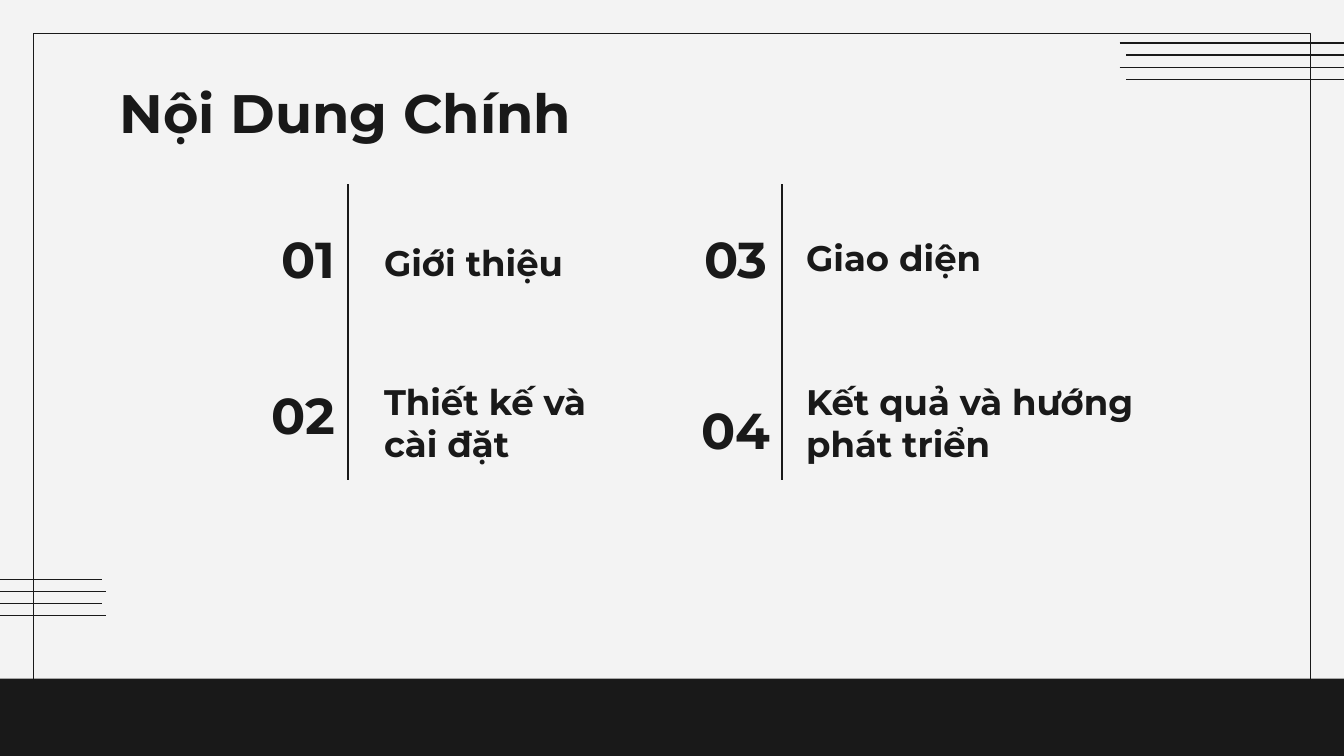
from lxml import etree
from pptx import Presentation
from pptx.dml.color import RGBColor
from pptx.enum import shapes, text
from pptx.oxml import ns
from pptx.util import Inches, Pt

COLORS = {"paper": "F3F3F3", "ink": "191919"}
FONT = "Montserrat"
ALIGN, ANCHOR = text.PP_ALIGN, text.MSO_ANCHOR


def color(name):
    return RGBColor.from_string(COLORS[name])


def add_rule(slide, x1, y1, x2, y2):
    rule = slide.shapes.add_connector(
        shapes.MSO_CONNECTOR.STRAIGHT, *map(Inches, (x1, y1, x2, y2)))
    rule.line.color.rgb = color("ink")
    rule.line.width = Pt(0.75)
    etree.SubElement(rule.element.spPr, ns.qn("a:effectLst"))


def add_block(slide, box, fill):
    block = slide.shapes.add_shape(
        shapes.MSO_SHAPE.RECTANGLE, *map(Inches, box))
    block.shadow.inherit = False
    block.fill.solid()
    block.fill.fore_color.rgb = color(fill)
    block.line.fill.background()
    return block


def add_stripes(slide, left, top, width, shift):
    """Four rules, every second one shifted to the right."""
    for i in range(4):
        x, y = left + shift * (i % 2), top + 0.09 * i
        add_rule(slide, x, y, x + width, y)


def add_decor(slide):
    frame = add_block(slide, (0.25, 0.25, 9.5, 5.13), "paper")
    frame.line.color.rgb = color("ink")
    frame.line.width = Pt(0.75)
    add_stripes(slide, 8.33, 0.32, 1.71, 0.05)
    add_stripes(slide, -0.12, 4.31, 0.88, 0.03)
    add_block(slide, (0, 5.05, 10, 0.58), "ink")


def set_text(shape, words, size, anchor, align=ALIGN.LEFT):
    frame = shape.text_frame
    frame.word_wrap = True
    frame.auto_size = text.MSO_AUTO_SIZE.NONE
    frame.vertical_anchor = anchor
    frame.margin_left = frame.margin_right = Inches(0.1)
    frame.margin_top = frame.margin_bottom = Inches(0.1)
    para = frame.paragraphs[0]
    para.alignment = align
    run = para.add_run()
    run.text = words
    run.font.name = FONT
    run.font.size = Pt(size)
    run.font.bold = True
    run.font.color.rgb = color("ink")


def add_title(slide, box, words):
    title = slide.shapes.title
    title.left, title.top, title.width, title.height = map(Inches, box)
    set_text(title, words, 29, ANCHOR.TOP)
    # Bring the title in front of the filled frame
    title.element.getparent().append(title.element)


def add_column(slide, x, y, items):
    """A vertical rule at x, with numbers on its left and topics on its right.

    Each item gives number, its offset, topic and its box, relative to x, y.
    """
    for number, (dx, dy), topic, (left, top, width, height) in items:
        body = slide.shapes.add_textbox(
            *map(Inches, (x + left, y + top, width, height)))
        set_text(body, topic, 19, ANCHOR.BOTTOM)
        label = slide.shapes.add_textbox(
            *map(Inches, (x + dx, y + dy, 0.91, 0.49)))
        set_text(label, number, 27, ANCHOR.MIDDLE, ALIGN.RIGHT)
    add_rule(slide, x, y, x, y + 2.2)


def main():
    deck = Presentation()
    deck.slide_width = Inches(10)
    deck.slide_height = deck.slide_width * 9 // 16
    slide = deck.slides.add_slide(deck.slide_layouts[5])
    slide.background.fill.solid()
    slide.background.fill.fore_color.rgb = color("paper")
    add_decor(slide)
    add_title(slide, (0.79, 0.49, 8.43, 0.63), "Nội Dung Chính")
    add_column(slide, 2.59, 1.37, [
        ("01", (-0.91, 0.31), "Giới thiệu", (0.17, 0.26, 1.74, 0.58)),
        ("02", (-0.91, 1.47), "Thiết kế và cài đặt", (0.17, 1.61, 2, 0.58)),
    ])
    add_column(slide, 5.82, 1.37, [
        ("03", (-0.92, 0.31), "Giao diện", (0.08, -0.03, 2.02, 0.83)),
        ("04", (-0.9, 1.58), "Kết quả và hướng phát triển",
         (0.08, 1.27, 3.31, 0.92)),
    ])
    deck.save("out.pptx")


if __name__ == "__main__":
    main()
